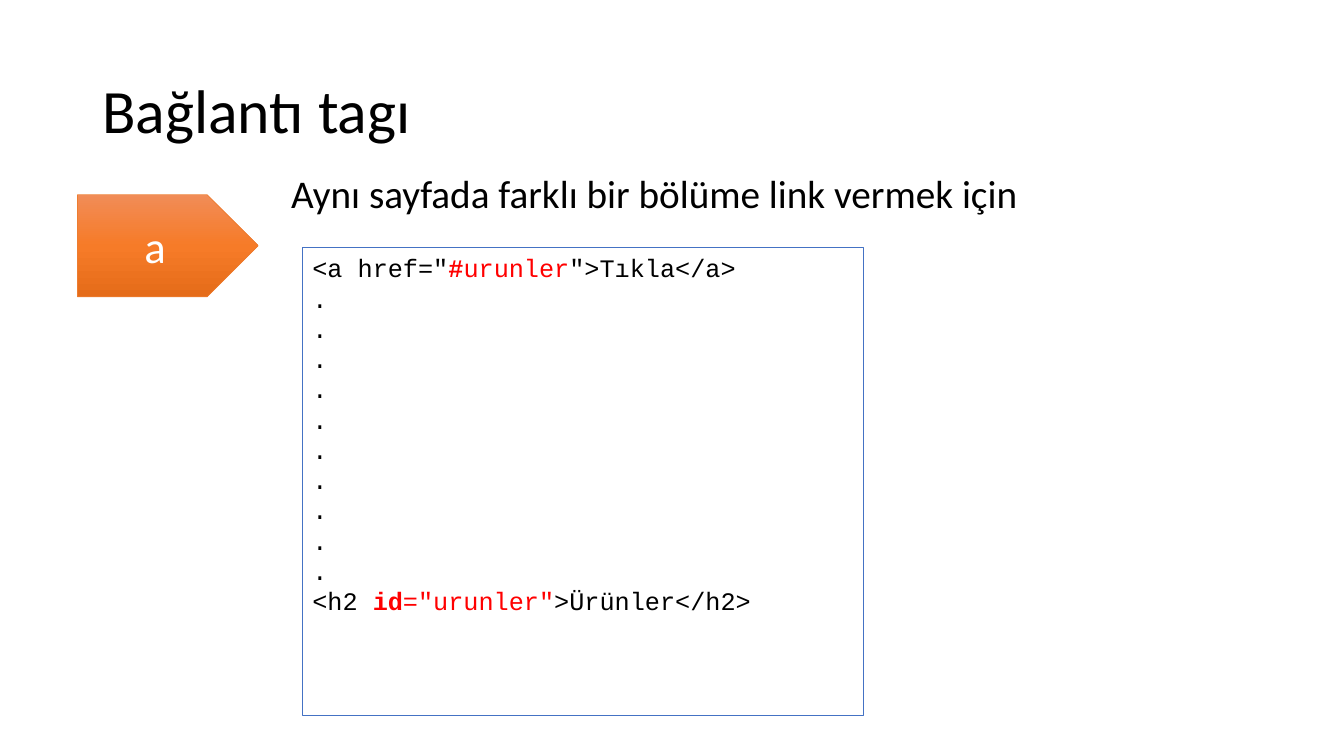
from copy import deepcopy
from typing import NamedTuple

from pptx import Presentation
from pptx.dml.color import RGBColor
from pptx.enum.shapes import MSO_SHAPE
from pptx.enum.text import MSO_ANCHOR, PP_ALIGN
from pptx.oxml.ns import qn
from pptx.util import Pt

INK = {
    "black": "000000", "white": "FFFFFF", "red": "FF0000", "blue": "4472C4",
    "edge": "ED7D31", "light": "F18C57", "mid": "F67B28", "dark": "E56C19",
}
SANS, MONO = "Calibri", "Courier New"


class Run(NamedTuple):
    text: str
    ink: str = "black"
    bold: bool = False


class Box(NamedTuple):
    left: float
    top: float
    width: float
    height: float


class Block(NamedTuple):
    kind: MSO_SHAPE
    box: Box
    line: str
    weight: float


TITLE = Box(66, 28.8, 828, 104.4)
LEAD = Box(200.9, 121, 681, 41.8)
TAG = Block(MSO_SHAPE.PENTAGON, Box(55.4, 139, 129, 73), "edge", 0.5)
CODE = Block(MSO_SHAPE.RECTANGLE, Box(216, 177, 401, 334), "blue", 1)

DOTS = 10
LINES = [
    [Run('<a href="'), Run("#", "red", True), Run("urunler", "red"),
     Run('">Tıkla</a>')],
    *[[Run(".")]] * DOTS,
    [Run("<h2 "), Run("id", "red", True), Run('="urunler"', "red"),
     Run(">Ürünler</h2>")],
]


def tint(name: str) -> RGBColor:
    return RGBColor.from_string(INK[name])


def write(shape, lines: list[list[Run]], *, size: float, font: str = SANS,
          align=PP_ALIGN.LEFT, anchor=MSO_ANCHOR.TOP, space: float = 1) -> None:
    frame = shape.text_frame
    frame.word_wrap = True
    frame.vertical_anchor = anchor
    for i, line in enumerate(lines):
        para = frame.add_paragraph() if i else frame.paragraphs[0]
        para.alignment = align
        para.line_spacing = space
        for part in line:
            run = para.add_run()
            run.text = part.text
            run.font.name = font
            run.font.size = Pt(size)
            run.font.bold = part.bold
            run.font.color.rgb = tint(part.ink)


def draw(slide, block: Block):
    shape = slide.shapes.add_shape(block.kind, *map(Pt, block.box))
    shape.shadow.inherit = False
    shape.line.color.rgb = tint(block.line)
    shape.line.width = Pt(block.weight)
    return shape


def blend(shape, names: list[str]) -> None:
    """Fill from top to bottom with evenly spaced colours."""
    fill = shape.fill
    fill.gradient()
    fill.gradient_angle = 270
    stops = shape.element.spPr.find(qn("a:gradFill")).find(qn("a:gsLst"))
    while len(stops) < len(names):
        stops.append(deepcopy(stops[0]))
    for i, (stop, name) in enumerate(zip(fill.gradient_stops, names)):
        stop.position = i / (len(names) - 1)
        stop.color.rgb = tint(name)


def main() -> None:
    deck = Presentation()
    deck.slide_width, deck.slide_height = Pt(960), Pt(540)
    slide = deck.slides.add_slide(deck.slide_layouts[5])

    # Title
    title = slide.shapes.title
    title.left, title.top, title.width, title.height = map(Pt, TITLE)
    write(title, [[Run("Bağlantı tagı")]], size=44,
          anchor=MSO_ANCHOR.MIDDLE, space=0.9)

    # Lead sentence
    lead = slide.shapes.add_textbox(*map(Pt, LEAD))
    write(lead, [[Run("Aynı sayfada farklı bir bölüme link vermek için")]],
          size=28, space=0.9)

    # Tag name arrow
    tag = draw(slide, TAG)
    blend(tag, ["light", "mid", "dark"])
    write(tag, [[Run("a", "white")]], size=32,
          align=PP_ALIGN.CENTER, anchor=MSO_ANCHOR.MIDDLE)

    # Code sample
    code = draw(slide, CODE)
    code.fill.solid()
    code.fill.fore_color.rgb = tint("white")
    write(code, LINES, size=18, font=MONO)

    deck.save("out.pptx")


if __name__ == "__main__":
    main()
